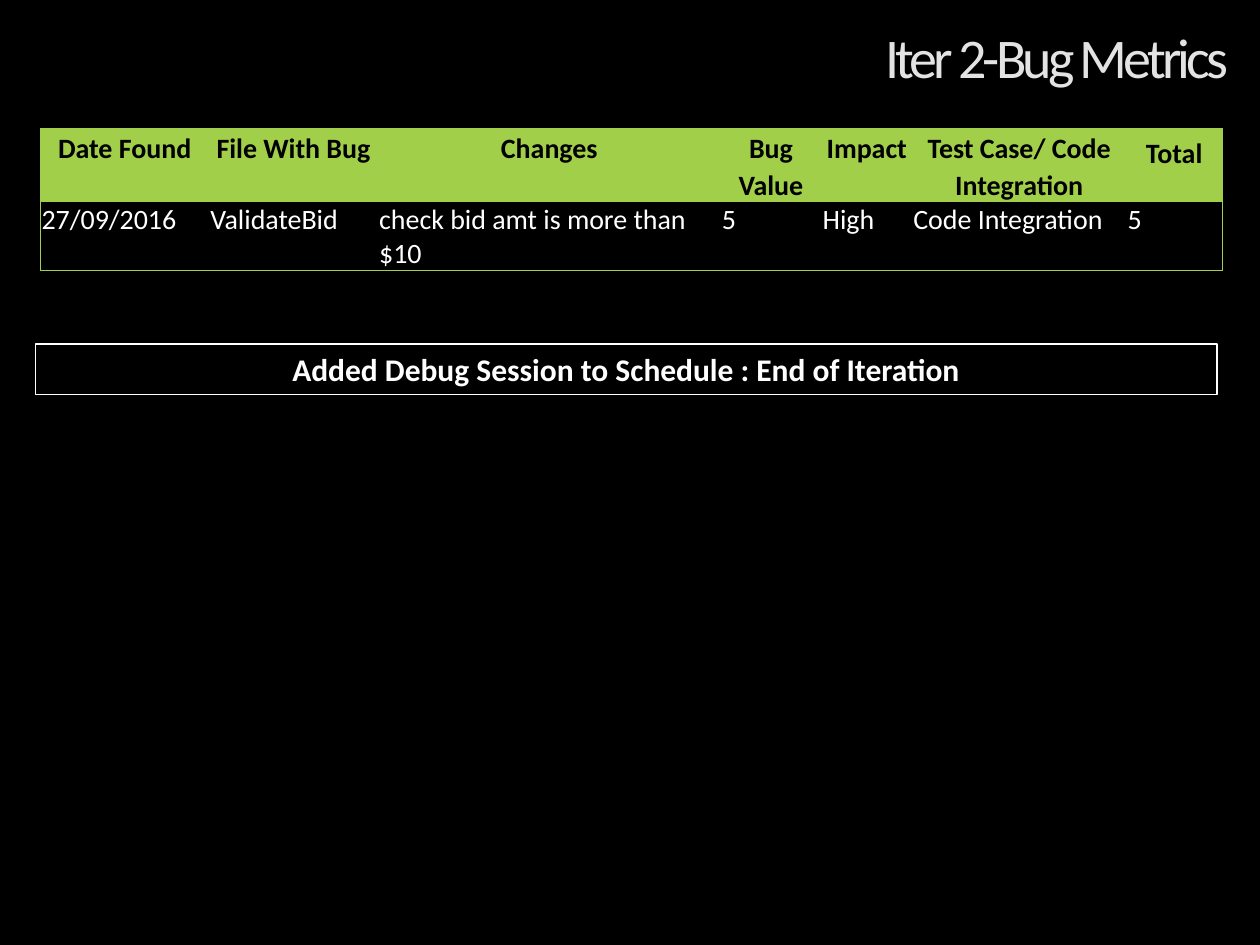
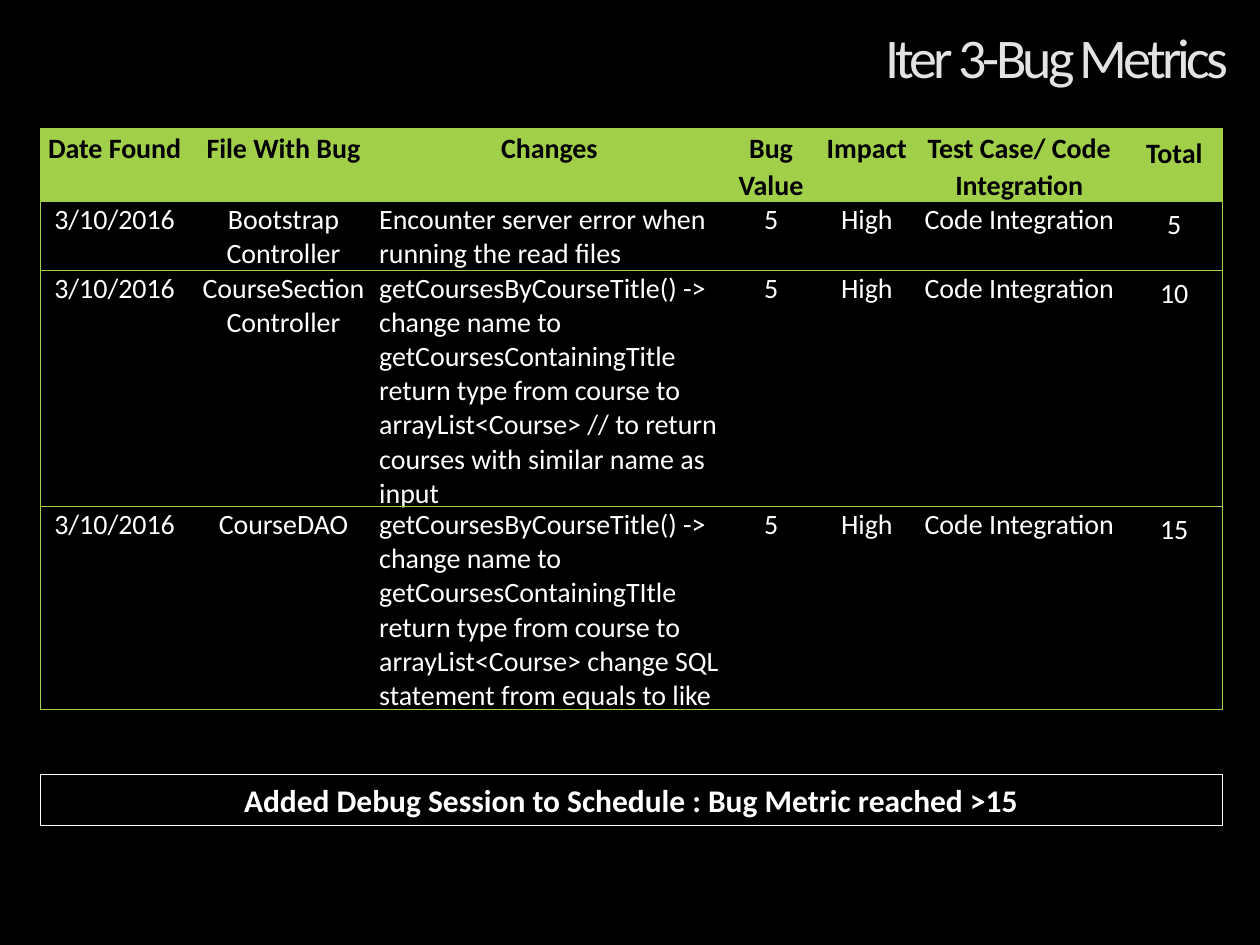
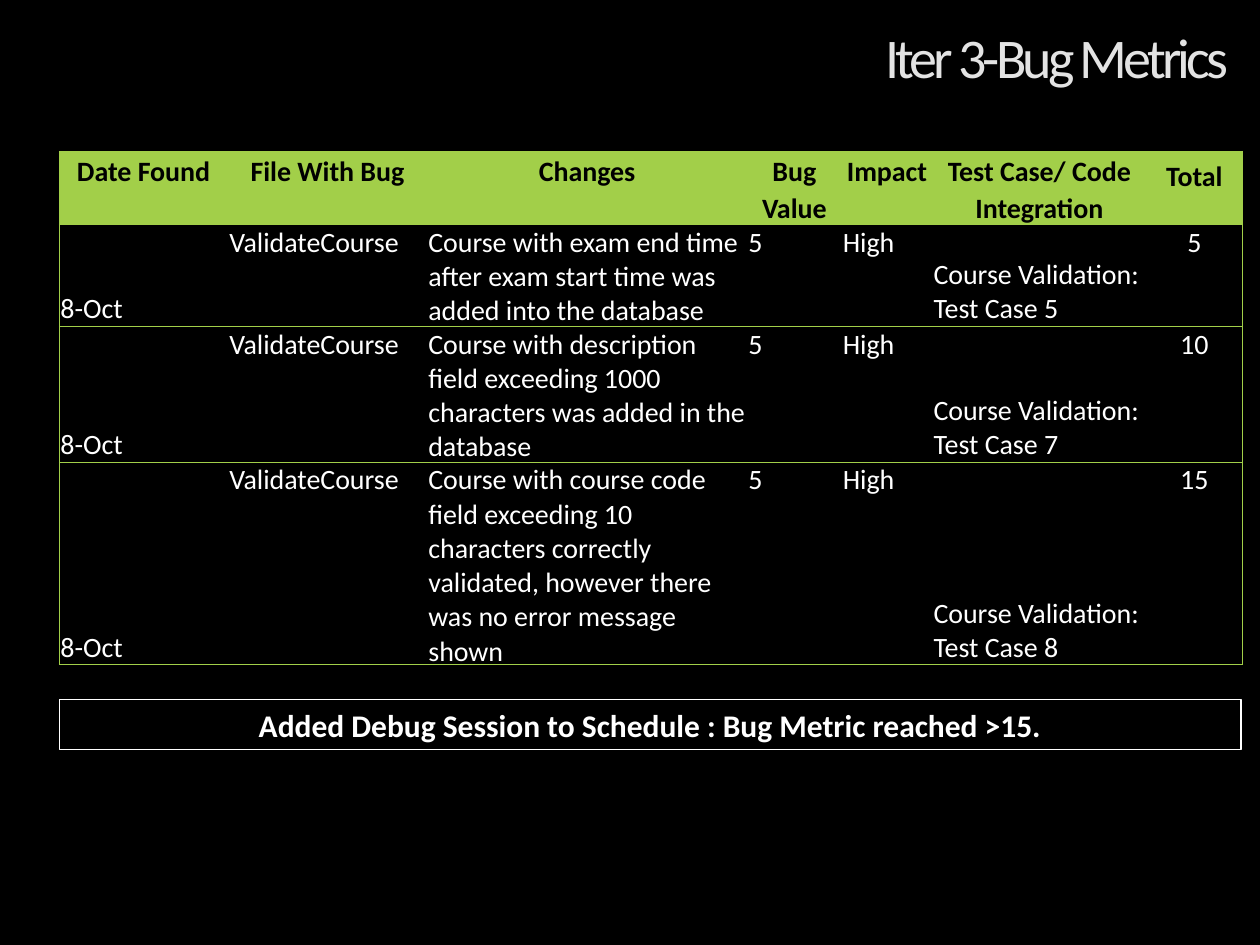
import dataclasses

import lxml.etree
import pptx
import pptx.dml.color
import pptx.enum.shapes
import pptx.enum.text
import pptx.oxml.ns
import pptx.util

ALIGN = {
    "l": pptx.enum.text.PP_ALIGN.LEFT,
    "c": pptx.enum.text.PP_ALIGN.CENTER,
    "r": pptx.enum.text.PP_ALIGN.RIGHT,
}
ANCHOR = {
    "t": pptx.enum.text.MSO_ANCHOR.TOP,
    "m": pptx.enum.text.MSO_ANCHOR.MIDDLE,
    "b": pptx.enum.text.MSO_ANCHOR.BOTTOM,
}
HEADINGS = ["Date Found", "File With Bug", "Changes", "Bug Value", "Impact",
            "Test Case/ Code Integration", "Total"]
NO_STYLE = "{2D5ABB26-0587-4C30-8999-92F81FD0307C}"


@dataclasses.dataclass(frozen=True)
class Theme:
    font: str = "Calibri"
    back: str = "000000"
    ink: str = "FFFFFF"
    title_ink: str = "E3E3E3"
    accent: str = "A2CF49"
    title_size: float = 32
    banner_size: float = 18
    cell_size: float = 16
    banner_line: float = 0.75
    border: float = 0.5


def rgb(value):
    return pptx.dml.color.RGBColor.from_string(value)


def assign(target, values):
    for name, value in values.items():
        setattr(target, name, value)


class Deck:
    def __init__(self, theme):
        self.theme = theme
        self.prs = pptx.Presentation()
        assign(self.prs, {"slide_width": pptx.util.Inches(10),
                          "slide_height": pptx.util.Inches(7.5)})
        self.unit = self.prs.slide_width / 100
        self.s = None

    def grid(self, *counts):
        return [round(n * self.unit) for n in counts]

    def slide(self, title):
        self.s = self.prs.slides.add_slide(self.prs.slide_layouts[6])
        fill = self.s.background.fill
        fill.solid()
        fill.fore_color.rgb = rgb(self.theme.back)
        self.title(title)

    def label(self, tf, text, size, ink, align="l", bold=False, spacing=None):
        tf.word_wrap = True
        p = tf.paragraphs[0]
        assign(p, {"alignment": ALIGN[align], "line_spacing": spacing})
        r = p.add_run()
        r.text = text
        assign(r.font, {"name": self.theme.font, "size": pptx.util.Pt(size),
                        "bold": bold})
        r.font.color.rgb = rgb(ink)
        return r

    def title(self, text):
        tf = self.s.shapes.add_textbox(*self.grid(12.3, -2.5, 86.2, 14.5)).text_frame
        tf.vertical_anchor = ANCHOR["m"]
        r = self.label(tf, text, self.theme.title_size, self.theme.title_ink,
                       "r", spacing=0.9)
        r.font._element.set("spc", "-220")

    def banner(self, left, top, text):
        sp = self.s.shapes.add_shape(pptx.enum.shapes.MSO_SHAPE.RECTANGLE,
                                     *self.grid(left, top, 93.8, 4))
        sp.shadow.inherit = False
        sp.fill.background()
        sp.line.color.rgb = rgb(self.theme.ink)
        sp.line.width = pptx.util.Pt(self.theme.banner_line)
        self.label(sp.text_frame, text, self.theme.banner_size, self.theme.ink,
                   "c", bold=True)

    def borders(self, cell, sides):
        tc_pr = cell._tc.get_or_add_tcPr()
        for side in sides:
            ln = lxml.etree.SubElement(tc_pr, pptx.oxml.ns.qn(f"a:ln{side}"),
                                       w=str(pptx.util.Pt(self.theme.border)))
            fill = lxml.etree.SubElement(ln, pptx.oxml.ns.qn("a:solidFill"))
            lxml.etree.SubElement(fill, pptx.oxml.ns.qn("a:srgbClr"),
                                  val=self.theme.accent)

    def cell(self, cell, text, sides, header, align, anchor, padded):
        self.borders(cell, sides)
        if header:
            cell.fill.solid()
            cell.fill.fore_color.rgb = rgb(self.theme.accent)
        else:
            cell.fill.background()
        if not padded:
            inset = pptx.util.Inches(0.01)
            assign(cell, {"margin_left": inset, "margin_right": inset,
                          "margin_top": inset, "margin_bottom": 0})
        cell.vertical_anchor = ANCHOR[anchor]
        ink = self.theme.back if header else self.theme.ink
        self.label(cell.text_frame, text, self.theme.cell_size, ink, align,
                   bold=header, spacing=1.07 if header else None)

    def bug_table(self, left, top, height, widths, bugs, aligns,
                  anchors="ttttttt", pad_total=False):
        rows = [HEADINGS, *bugs]
        last = len(widths) - 1
        frame = self.s.shapes.add_table(len(rows), len(widths),
                                        *self.grid(left, top, sum(widths), height))
        table = frame.table
        assign(table, {"first_row": False, "horz_banding": False})
        table._tbl.tblPr.find(pptx.oxml.ns.qn("a:tableStyleId")).text = NO_STYLE
        for column, width in zip(table.columns, self.grid(*widths)):
            column.width = width
        for i, row in enumerate(rows):
            header = i == 0
            table.rows[i].height = self.grid(4.1)[0]
            for j, text in enumerate(row):
                sides = ["L"] * (j == 0) + ["R"] * (j == last) + ["T", "B"]
                self.cell(table.cell(i, j), text, sides, header,
                          "c" if header else aligns[j],
                          "t" if header else anchors[j],
                          j == last and (header or pad_total))
        frame.height = self.grid(height)[0]


def main():
    deck = Deck(Theme())

    deck.slide("Iter 2-Bug Metrics")
    deck.bug_table(3.2, 10.2, 11.2, [13.4, 13.4, 27.2, 8, 7.2, 17, 7.6], [
        ["27/09/2016", "ValidateBid", "check bid amt is more than $10",
         "5", "High", "Code Integration", "5"],
    ], "lllllll")
    deck.banner(2.8, 27.3, "Added Debug Session to Schedule : End of Iteration")

    changes = [
        ("Bootstrap Controller", "Encounter server error when running the read files"),
        ("CourseSection Controller",
         "getCoursesByCourseTitle() -> change name to getCoursesContainingTitle "
         "return type from course to arrayList<Course> // to return courses "
         "with similar name as input"),
        ("CourseDAO",
         "getCoursesByCourseTitle() -> change name to getCoursesContainingTItle "
         "return type from course to arrayList<Course> change SQL statement "
         "from equals to like"),
    ]
    deck.slide("Iter 3-Bug Metrics")
    deck.bug_table(3.2, 10.2, 48.8, [11.8, 15, 27.2, 8, 7.2, 17, 7.6], [
        ["3/10/2016", file, change, "5", "High", "Code Integration", str(5 * n)]
        for n, (file, change) in enumerate(changes, 1)
    ], "cclcccc", pad_total=True)
    deck.banner(3.2, 61.5, "Added Debug Session to Schedule : Bug Metric reached >15")

    failures = [
        (5, "Course with exam end time after exam start time was added into "
            "the database"),
        (7, "Course with description field exceeding 1000 characters was added "
            "in the database"),
        (8, "Course with course code field exceeding 10 characters correctly "
            "validated, however there was no error message shown"),
    ]
    deck.slide("Iter 3-Bug Metrics")
    deck.bug_table(4.7, 12, 40.8, [13.4, 15.8, 25.4, 7.5, 7.2, 17, 7.6], [
        ["8-Oct", "ValidateCourse", failure, "5", "High",
         f"Course Validation: Test Case {case}", str(5 * n)]
        for n, (case, failure) in enumerate(failures, 1)
    ], "llllllc", anchors="btbttbt")
    deck.banner(4.7, 55.5, "Added Debug Session to Schedule : Bug Metric reached >15.")

    deck.prs.save("out.pptx")


if __name__ == "__main__":
    main()
